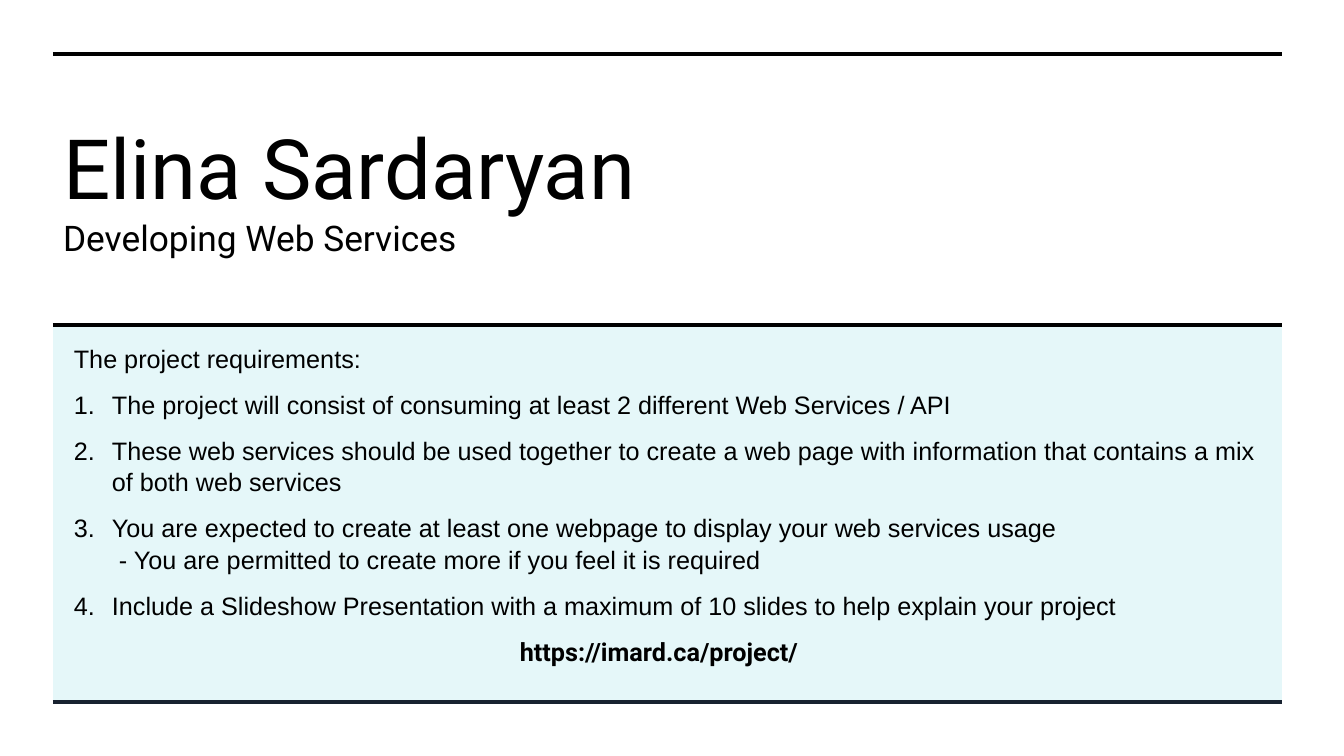
from pptx import Presentation
from pptx import util as u
from pptx.dml.color import RGBColor
from pptx.enum import shapes, text
from pptx.oxml.ns import qn
from lxml import etree

PX = 914400 / 100.8
SLIDE = (1344, 756)
LEFT, RIGHT = 53, 1282
PANEL = (LEFT, 325, RIGHT - LEFT, 377)

NAME = "Elina Sardaryan"
COURSE = "Developing Web Services"
INTRO = "The project requirements:"
REQUIREMENTS = [
    "The project will consist of consuming at least 2 different Web Services / API",
    "These web services should be used together to create a web page with "
    "information that contains a mix of both web services",
    "You are expected to create at least one webpage to display your web services usage"
    "\n - You are permitted to create more if you feel it is required",
    "Include a Slideshow Presentation with a maximum of 10 slides to help explain your project",
]
ADDRESS = "https://imard.ca/project/"
RULES = [(54, "000000"), (325, "000000"), (702, "182230")]


def px(value):
    return u.Emu(round(value * PX))


def color(value):
    return RGBColor.from_string(value)


def place(item, box):
    item.left, item.top, item.width, item.height = map(px, box)


def write(paragraph, words, font="Arial", size=18, bold=False,
          align=text.PP_ALIGN.LEFT, before=0, spacing=1.0, numbered=False):
    paragraph.alignment = align
    paragraph.space_before = u.Pt(before)
    paragraph.line_spacing = spacing
    if numbered:
        properties = paragraph._p.get_or_add_pPr()
        properties.set("marL", str(px(38)))
        properties.set("indent", str(-px(38)))
        etree.SubElement(properties, qn("a:buFont")).set("typeface", "+mj-lt")
        etree.SubElement(properties, qn("a:buAutoNum")).set("type", "arabicPeriod")
    for index, line in enumerate(words.split("\n")):
        if index:
            paragraph.add_line_break()
        run = paragraph.add_run()
        run.text = line
        run.font.name = font
        run.font.size = u.Pt(size)
        run.font.bold = bold
        run.font.color.rgb = color("000000")


def add_text(box):
    frame = slide.shapes.add_textbox(*map(px, box)).text_frame
    frame.word_wrap = True
    return frame


prs = Presentation()
prs.slide_width, prs.slide_height = map(px, SLIDE)
slide = prs.slides.add_slide(prs.slide_layouts[5])

title = slide.shapes.title
place(title, (LEFT, 77, 604, 221))
heading = title.text_frame
heading.word_wrap = True
heading.auto_size = text.MSO_AUTO_SIZE.NONE
heading.vertical_anchor = text.MSO_ANCHOR.MIDDLE
write(heading.paragraphs[0], NAME, font="Roboto", size=59.4)
heading.paragraphs[0].add_line_break()
write(heading.paragraphs[0], COURSE, font="Roboto", size=25.2)

panel = slide.shapes.add_shape(shapes.MSO_SHAPE.RECTANGLE, *map(px, PANEL))
panel.shadow.inherit = False
panel.line.fill.background()
panel.fill.solid()
panel.fill.fore_color.rgb = color("00BAC8")
tint = panel.fill._xPr.find(".//" + qn("a:srgbClr"))
etree.SubElement(tint, qn("a:alpha")).set("val", "10000")

for y, shade in RULES:
    rule = slide.shapes.add_connector(
        shapes.MSO_CONNECTOR.STRAIGHT, *map(px, (LEFT, y, RIGHT, y)))
    rule.line.color.rgb = color(shade)
    rule.line.width = u.Pt(2.25)
    etree.SubElement(rule._element.spPr, qn("a:effectLst"))

address = add_text((363, 631, 592, 40))
write(address.paragraphs[0], ADDRESS, font="Roboto", bold=True,
      align=text.PP_ALIGN.CENTER)

brief = add_text((64, 337, 1212, 311))
write(brief.paragraphs[0], INTRO, before=10, spacing=1.05)
for requirement in REQUIREMENTS:
    write(brief.add_paragraph(), requirement, before=10, spacing=1.05, numbered=True)

prs.save("out.pptx")
